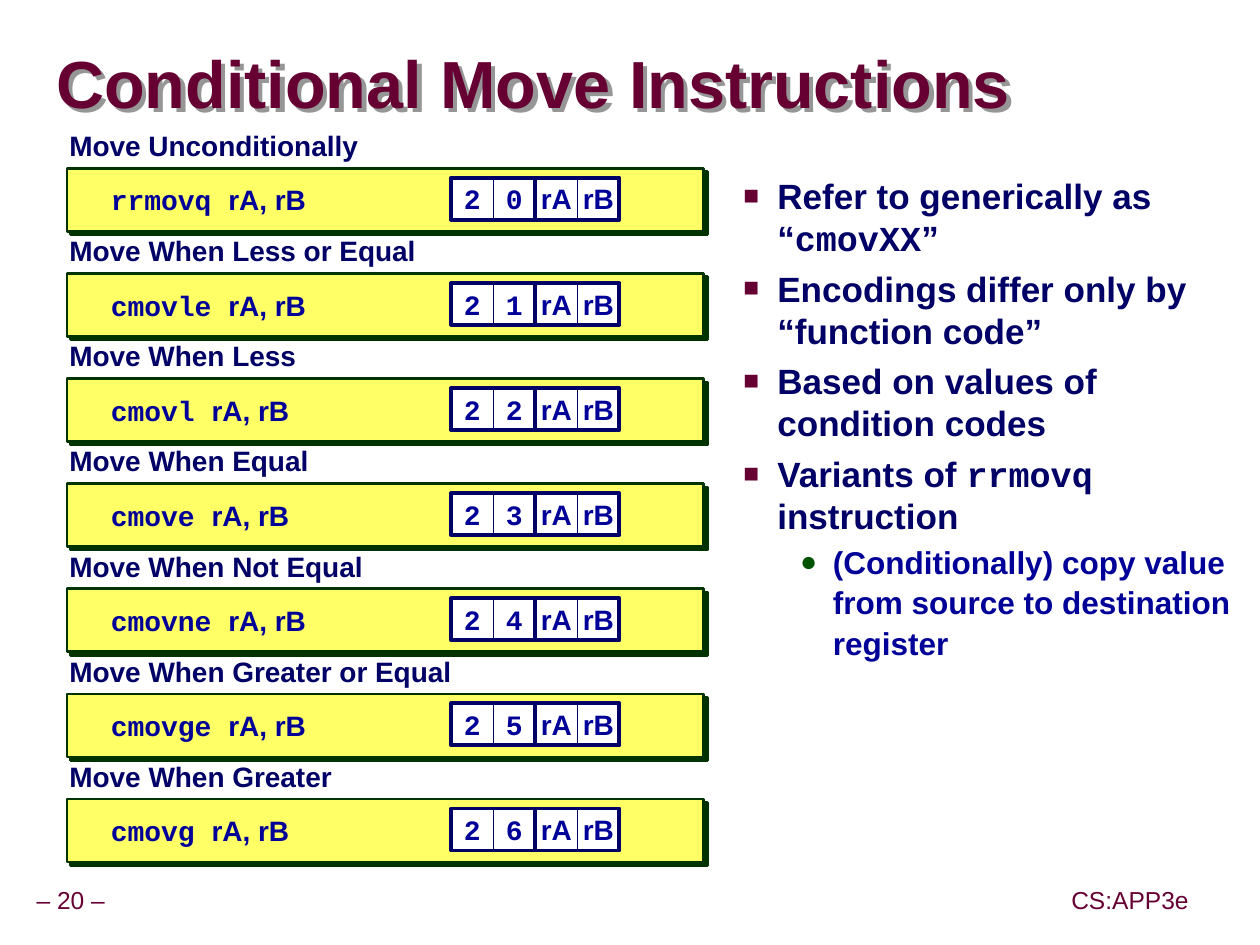
from lxml.etree import SubElement as Sub
from pptx import Presentation as Deck
from pptx.dml.color import RGBColor as RGB
from pptx.enum.shapes import MSO_SHAPE as Kind
from pptx.enum.text import MSO_ANCHOR as Anchor, MSO_AUTO_SIZE as Auto, PP_ALIGN as Align
from pptx.oxml.ns import qn
from pptx.util import Pt

WINE = RGB(0x66, 0x00, 0x33)
NAVY = RGB(0x00, 0x00, 0x66)
BLUE = RGB(0x00, 0x00, 0x99)
GREEN = RGB(0x00, 0x33, 0x00)
LEAF = RGB(0x00, 0x54, 0x00)
YELLOW = RGB(0xFF, 0xFF, 0x66)
WHITE = RGB(0xFF, 0xFF, 0xFF)
GRAY = RGB(0x96, 0x96, 0x96)

SANS, MONO = "Arial", "Courier New"
HEAD = dict(name=SANS, size=Pt(38), bold=True)
POINT = dict(name=SANS, size=Pt(20), bold=True)
SUBPT = dict(name=SANS, size=Pt(18), bold=True)
LABEL = dict(name=SANS, size=Pt(16), bold=True)
CODE = dict(LABEL, name=MONO)
FOOT = dict(name=SANS, size=Pt(14), bold=False)

PITCH, CELL = 60, 24
MOVES = [
    ("Move Unconditionally", 174, "rrmovq"),
    ("Move When Less or Equal", 207, "cmovle"),
    ("Move When Less", 139, "cmovl"),
    ("Move When Equal", 146, "cmove"),
    ("Move When Not Equal", 177, "cmovne"),
    ("Move When Greater or Equal", 228, "cmovge"),
    ("Move When Greater", 159, "cmovg"),
]
MAIN = dict(left=58.3, hang=19.4, mark="■", scale=75, tint=WINE, gap=5, lines=1.0)
MINOR = dict(left=90, hang=18.7, mark="●", scale=90, tint=LEAF, gap=1.8, lines=1.07)
NOTES = [
    (MAIN, [("Refer to generically as “", POINT), ("cmovXX", dict(POINT, name=MONO)), ("”", POINT)]),
    (MAIN, [("Encodings differ only by “function code”", POINT)]),
    (MAIN, [("Based on values of condition codes", POINT)]),
    (MAIN, [("Variants of ", POINT), ("rrmovq", dict(POINT, name=MONO)), (" instruction", POINT)]),
    (MINOR, [("(Conditionally) copy value from source to destination register", SUBPT)]),
]


def apply(thing, form):
    for key, value in form.items():
        setattr(thing, key, value)


def write(para, runs, color):
    for text, form in runs:
        run = para.add_run()
        run.text = text
        apply(run.font, form)
        run.font.color.rgb = color


def frame(shape, pad=(7.2, 3.6), **form):
    side, edge = map(Pt, pad)
    apply(shape.text_frame, dict(margin_left=side, margin_right=side,
                                 margin_top=edge, margin_bottom=edge, **form))
    return shape.text_frame


def shade(shape, color, dist):
    shape.shadow.inherit = False
    effect = shape._element.spPr.find(qn("a:effectLst"))
    drop = Sub(effect, qn("a:outerShdw"), blurRad="0", dist=str(Pt(dist)),
               dir="2700000", algn="ctr", rotWithShape="0")
    Sub(drop, qn("a:srgbClr"), val=str(color))


def text_box(slide, box, runs, color, pad=(3.6, 3.6), lines=1.0, align=Align.LEFT, **form):
    shape = slide.shapes.add_textbox(*map(Pt, box))
    para = frame(shape, pad, **form).paragraphs[0]
    apply(para, dict(line_spacing=lines, alignment=align))
    write(para, runs, color)
    return shape


def block(shapes, box, fill, line, width):
    shape = shapes.add_shape(Kind.RECTANGLE, *map(Pt, box))
    shape.shadow.inherit = False
    if fill is None:
        shape.fill.background()
    else:
        shape.fill.solid()
        shape.fill.fore_color.rgb = fill
    shape.line.color.rgb = line
    shape.line.width = Pt(width)
    return shape


def byte(slide, left, top, parts, form):
    shapes = slide.shapes.add_group_shape().shapes
    for col, text in enumerate(parts):
        cell = block(shapes, (left + col * CELL, top, CELL, CELL), WHITE, NAVY, 0.5)
        para = frame(cell, word_wrap=False, vertical_anchor=Anchor.MIDDLE).paragraphs[0]
        para.alignment = Align.CENTER
        write(para, [(text, form)], BLUE)
    block(shapes, (left, top, len(parts) * CELL, CELL), None, NAVY, 2.25)


def move(slide, left, top, label, width, name, code):
    bar = block(slide.shapes, (left + 2.2, top + 24, 363.6, 36), YELLOW, GREEN, 1.5)
    shade(bar, GREEN, 2.8)
    text_box(slide, (left + 20.2, top + 30, 140, CELL), [(name + " ", CODE), ("rA, rB", LABEL)],
             BLUE, pad=(7.2, 3.6), word_wrap=True, vertical_anchor=Anchor.MIDDLE)
    text_box(slide, (left, top, width, 24.5), [(label, LABEL)], NAVY, lines=0.9,
             word_wrap=False, auto_size=Auto.SHAPE_TO_FIT_TEXT)
    byte(slide, left + 221.6, top + 29.4, ("2", str(code)), CODE)
    byte(slide, left + 221.6 + 2 * CELL, top + 29.4, ("rA", "rB"), LABEL)


def moves(slide, left, top):
    for code, (label, width, name) in enumerate(MOVES):
        move(slide, left, top + code * PITCH, label, width, name, code)


def title(slide, box):
    shape = text_box(slide, box, [("Conditional Move Instructions", HEAD)], WINE, pad=(0, 0),
                     lines=0.87, word_wrap=True, vertical_anchor=Anchor.MIDDLE)
    shade(shape, GRAY, 3.6)


def notes(slide, box):
    body = frame(slide.shapes.add_textbox(*map(Pt, box)), word_wrap=True)
    for row, (style, runs) in enumerate(NOTES):
        para = body.add_paragraph() if row else body.paragraphs[0]
        apply(para, dict(line_spacing=style["lines"], space_before=Pt(style["gap"] if row else 0)))
        props = para._p.get_or_add_pPr()
        props.set("marL", str(Pt(style["left"])))
        props.set("indent", str(-Pt(style["hang"])))
        Sub(Sub(props, qn("a:buClr")), qn("a:srgbClr"), val=str(style["tint"]))
        Sub(props, qn("a:buSzPct"), val=str(style["scale"] * 1000))
        Sub(props, qn("a:buFont"), typeface=SANS)
        Sub(props, qn("a:buChar"), char=style["mark"])
        write(para, runs, BLUE if style is MINOR else NAVY)


def footer(slide, top):
    for left, width, text in ((16.7, 47.5, "– 20 –"), (607.7, 74.9, "CS:APP3e")):
        text_box(slide, (left, top, width, 22.7), [(text, FOOT)], WINE, lines=0.9,
                 align=Align.CENTER, word_wrap=False, vertical_anchor=Anchor.MIDDLE,
                 auto_size=Auto.SHAPE_TO_FIT_TEXT)


def main():
    deck = Deck()
    apply(deck, dict(slide_width=Pt(719.3), slide_height=Pt(539.3)))
    slide = deck.slides.add_slide(deck.slide_layouts[6])
    footer(slide, 503)
    title(slide, (32, 19.4, 685.4, 61.2))
    notes(slide, (378.4, 95.8, 340.9, 410.4))
    moves(slide, 36, 72)
    deck.save("out.pptx")


if __name__ == "__main__":
    main()
